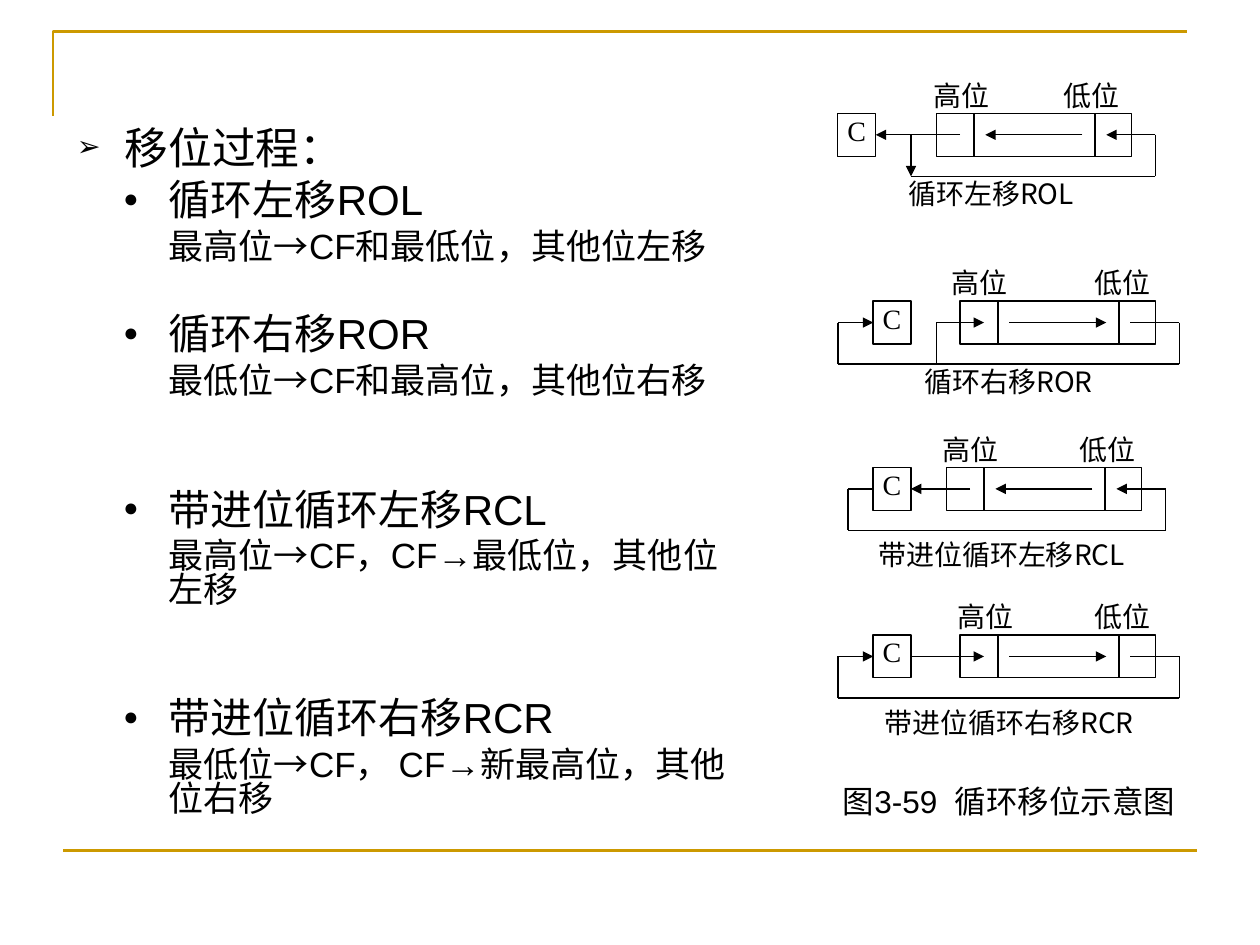
import pptx
import pptx.dml.color
import pptx.enum.shapes
import pptx.enum.text
import pptx.oxml.ns
import pptx.util
from lxml import etree

# Content: (level, text, points before)
OUTLINE = [
    ("topic", "移位过程：", 0),
    ("item", "循环左移ROL", 6),
    ("detail", "最高位→CF和最低位，其他位左移", 5),
    ("item", "循环右移ROR", 29.4),
    ("detail", "最低位→CF和最高位，其他位右移", 5),
    ("item", "带进位循环左移RCL", 52.8),
    ("detail", "最高位→CF，CF→最低位，其他位左移", 5),
    ("item", "带进位循环右移RCR", 52.8),
    ("detail", "最低位→CF， CF→新最高位，其他位右移", 5),
]
FIGURE_TITLE = "图3-59  循环移位示意图"

# Wires: (start, end, arrow); an end is (x, height) or a side of the carry box.
# "high" is the x of the top bit, "back" the x where the loop returns.
DIAGRAMS = [
    dict(caption="循环左移ROL", caption_at=(7.09, 1.40, 1.55, 0.26), left=True,
         register=(7.43, 0.90), carry=6.65, back=7.23, labels=(7.41, 8.44),
         wires=[(("high", "mid"), "right", True),
                (("back", "mid"), ("back", "low"), True)]),
    dict(caption="循环右移ROR", caption_at=(7.23, 2.89, 1.55, 0.26), left=False,
         register=(7.62, 2.39), carry=6.93, back=6.65, labels=(7.55, 8.69),
         wires=[((7.43, "mid"), ("high", "mid"), True),
                ((7.43, "mid"), (7.43, "low"), False),
                (("back", "low"), ("back", "mid"), False),
                (("back", "mid"), "left", True)]),
    dict(caption="带进位循环左移RCL", caption_at=(6.79, 4.27, 2.32, 0.34), left=True,
         register=(7.51, 3.71), carry=6.93, back=6.73, labels=(7.48, 8.57),
         wires=[(("high", "mid"), "right", True),
                (("back", "mid"), ("back", "low"), False),
                (("back", "mid"), "left", False)]),
    dict(caption="带进位循环右移RCR", caption_at=(6.85, 5.60, 2.32, 0.25), left=False,
         register=(7.62, 5.04), carry=6.93, back=6.65, labels=(7.60, 8.69),
         wires=[("right", ("high", "mid"), True),
                (("back", "low"), ("back", "mid"), False),
                (("back", "mid"), "left", True)]),
]

# Theme
THEME = dict(
    ink=pptx.dml.color.RGBColor(0, 0, 0),
    frame=pptx.dml.color.RGBColor(0xCC, 0x99, 0x00),
    body="Arial", carry="Times New Roman", caption="Noto Sans CJK SC",
    thin=0.75, thick=1.5, label_size=16, title_size=18,
)
LEVELS = {  # size, depth, margin, indent, bullet, bullet percent
    "topic": (25, 0, 0.38, -0.38, "➢", 65),
    "item": (24, 1, 0.73, -0.36, "●", 60),
    "detail": (20, 1, 0.73, 0, None, None),
}

# Register geometry
REGISTER_W, CELL_H, CARRY_W = 1.55, 0.34, 0.30
DIVIDERS = (0.30, 1.26)
HIGH, SHIFT, LOW, LOOP = 0.19, (0.39, 1.16), 1.35, 1.74
LOOP_DROP, LABEL_W, LABEL_H = 0.50, 1.94, 0.28
SIDES = {"left": 1, "right": 3}

ALIGN = pptx.enum.text.PP_ALIGN
inch = pptx.util.Inches


def assign(target, **values):
    for name, value in values.items():
        setattr(target, name, value)


def add_element(parent, tag, **attributes):
    return etree.SubElement(parent, pptx.oxml.ns.qn(tag),
                            {name: str(value) for name, value in attributes.items()})


def set_frame(frame, insets=(0, 0, 0, 0), wrap=True):
    names = ("margin_left", "margin_top", "margin_right", "margin_bottom")
    assign(frame, word_wrap=wrap, vertical_anchor=pptx.enum.text.MSO_ANCHOR.TOP,
           **dict(zip(names, map(inch, insets))))


def write(para, text, font, size, align=ALIGN.CENTER):
    para.alignment = align
    span = para.add_run()
    span.text = text
    assign(span.font, name=font, size=pptx.util.Pt(size))
    span.font.color.rgb = THEME["ink"]


def style_line(line, color="ink", width="thin"):
    line.color.rgb = THEME[color]
    line.width = pptx.util.Pt(THEME[width])


def add_line(shapes, start, end, arrow=False, **style):
    line = shapes.add_connector(pptx.enum.shapes.MSO_CONNECTOR.STRAIGHT,
                                *map(inch, (*start, *end)))
    style_line(line.line, **style)
    if arrow:
        add_element(line.line._get_or_add_ln(), "a:tailEnd", type="triangle")
    add_element(line._element.spPr, "a:effectLst")
    return line


def add_box(shapes, left, top, width):
    box = shapes.add_shape(pptx.enum.shapes.MSO_SHAPE.RECTANGLE,
                           *map(inch, (left, top, width, CELL_H)))
    box.shadow.inherit = False
    box.fill.background()
    style_line(box.line)
    set_frame(box.text_frame)
    return box


def add_text(shapes, at, text, font, size, insets=(0, 0, 0, 0)):
    box = shapes.add_textbox(*map(inch, at))
    set_frame(box.text_frame, insets)
    write(box.text_frame.paragraphs[0], text, font, size)
    return box


def add_labels(shapes, loop_x, top, high_x, low_x):
    left = loop_x - LABEL_W
    box = shapes.add_textbox(*map(inch, (left, top - LABEL_H, LABEL_W, LABEL_H)))
    set_frame(box.text_frame, (high_x - left, 0, 0, 0))
    para = box.text_frame.paragraphs[0]
    tabs = add_element(para._p.get_or_add_pPr(), "a:tabLst")
    add_element(tabs, "a:tab", pos=inch(low_x - high_x), algn="l")
    write(para, "高位\t低位", THEME["carry"], THEME["label_size"], ALIGN.LEFT)


def add_diagram(page, spec_row):
    shapes = page.shapes.add_group_shape().shapes
    x, top = spec_row["register"]
    heights = {"mid": top + CELL_H / 2, "low": top + LOOP_DROP}
    places = {"high": x + HIGH, "back": spec_row["back"], "loop": x + LOOP}
    mid = heights["mid"]

    # Register and carry box
    add_box(shapes, x, top, REGISTER_W)
    for offset in DIVIDERS:
        add_line(shapes, (x + offset, top), (x + offset, top + CELL_H))
    carry = add_box(shapes, spec_row["carry"], top, CARRY_W)
    write(carry.text_frame.paragraphs[0], "C", THEME["carry"], THEME["label_size"])
    sides = {"left": spec_row["carry"], "right": spec_row["carry"] + CARRY_W}

    # Shift arrow and low-bit wire follow the direction of the shift
    step = -1 if spec_row["left"] else 1
    add_line(shapes, *[(x + offset, mid) for offset in SHIFT[::step]], arrow=True)
    add_line(shapes, *[(x + offset, mid) for offset in (LOW, LOOP)[::step]],
             arrow=spec_row["left"])

    # Loop wires
    loop = [(("loop", "mid"), ("loop", "low"), False),
            (("loop", "low"), ("back", "low"), False)]
    for start, end, arrow in loop + spec_row["wires"]:
        points = [(sides[place], mid) if place in sides
                  else (places.get(place[0], place[0]), heights[place[1]])
                  for place in (start, end)]
        wire = add_line(shapes, *points, arrow=arrow)
        for place, join in ((start, wire.begin_connect), (end, wire.end_connect)):
            if place in SIDES:
                join(carry, SIDES[place])

    add_labels(shapes, places["loop"], top, *spec_row["labels"])
    add_text(shapes, spec_row["caption_at"], spec_row["caption"],
             THEME["caption"], THEME["label_size"])


def add_outline(page):
    body = page.placeholders[1]
    assign(body, **dict(zip(("left", "top", "width", "height"),
                            map(inch, (0.51, 0.99, 5.51, 5.83)))))
    frame = body.text_frame
    set_frame(frame, (0.1, 0.05, 0.1, 0.05))
    frame.auto_size = pptx.enum.text.MSO_AUTO_SIZE.NONE
    for index, (level, text, before) in enumerate(OUTLINE):
        size, depth, margin, indent, bullet, percent = LEVELS[level]
        para = frame.add_paragraph() if index else frame.paragraphs[0]
        props = para._p.get_or_add_pPr()
        props.set("marL", str(inch(margin)))
        props.set("indent", str(inch(indent)))
        if bullet:
            color = add_element(props, "a:buClr")
            add_element(color, "a:srgbClr", val=THEME["ink"])
            add_element(props, "a:buSzPct", val=percent * 1000)
            add_element(props, "a:buFont", typeface=THEME["body"])
            add_element(props, "a:buChar", char=bullet)
        else:
            add_element(props, "a:buNone")
        assign(para, level=depth, line_spacing=0.8, space_before=pptx.util.Pt(before))
        write(para, text, THEME["body"], size, ALIGN.LEFT)


def main():
    deck = pptx.Presentation()
    assign(deck, slide_width=inch(10), slide_height=inch(7.5))
    page = deck.slides.add_slide(deck.slide_layouts[1])
    title = page.shapes.title._element
    title.getparent().remove(title)

    # Frame lines
    builder = page.shapes.build_freeform(inch(0.42), inch(0.92))
    builder.add_line_segments([(inch(0.42), inch(0.25)), (inch(9.42), inch(0.25))],
                              close=False)
    corner = builder.convert_to_shape()
    corner.shadow.inherit = False
    corner.fill.background()
    style_line(corner.line, "frame", "thick")
    add_line(page.shapes, (0.5, 6.75), (9.5, 6.75), color="frame", width="thick")

    # Outline, diagrams and figure title
    add_outline(page)
    for diagram in DIAGRAMS:
        add_diagram(page, diagram)
    add_text(page.shapes, (6.41, 6.16, 3.2, 0.4), FIGURE_TITLE, THEME["body"],
             THEME["title_size"], (0.1, 0.05, 0.1, 0.05))
    deck.save("out.pptx")


if __name__ == "__main__":
    main()
